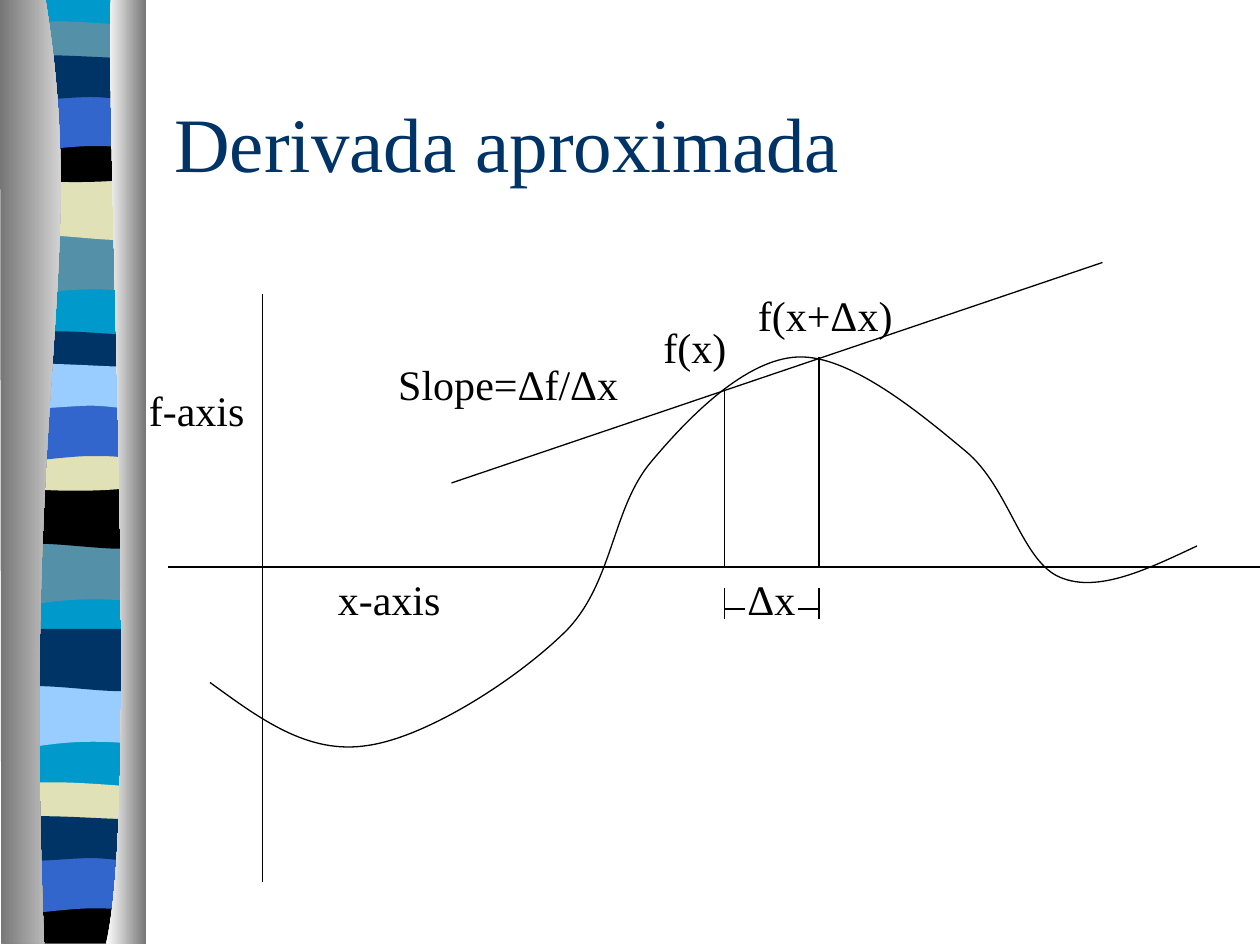
from lxml import etree
from pptx import Presentation
from pptx.dml.color import RGBColor
from pptx.enum.shapes import MSO_CONNECTOR
from pptx.enum.text import MSO_ANCHOR, MSO_AUTO_SIZE, PP_ALIGN
from pptx.oxml.ns import qn
from pptx.util import Inches, Pt

STRAIGHT = MSO_CONNECTOR.STRAIGHT
MIDDLE = MSO_ANCHOR.MIDDLE
LEFT = PP_ALIGN.LEFT
NO_FIT, GROW = MSO_AUTO_SIZE.NONE, MSO_AUTO_SIZE.SHAPE_TO_FIT_TEXT

BLACK = RGBColor(0x00, 0x00, 0x00)
WHITE = RGBColor(0xFF, 0xFF, 0xFF)
GREY = RGBColor(0x76, 0x76, 0x76)
NAVY = RGBColor(0x00, 0x33, 0x66)
BLUE = RGBColor(0x33, 0x66, 0xCC)
CYAN = RGBColor(0x00, 0x99, 0xCC)
SKY = RGBColor(0x99, 0xCC, 0xFF)
TEAL = RGBColor(0x54, 0x90, 0xA8)
SAND = RGBColor(0xE1, 0xE1, 0xB7)

COLUMNS = 120
FINE_COLUMNS = 1000

SWELL = [(114, 47), (39, 39, 24, 55, 6, 47), (6, 0)]
RIPPLE = [(114, 47), (96, 55, 39, 41, 6, 47), (6, 0)]
LENS = [(114, 24), (96, 28, 24, 28, 6, 24), (6, 0),
        (12, -5, 29, -4, 47, -4), (65, -4, 100, -1, 114, 0)]
BOWL = [(114, 32), (96, 38, 24, 38, 6, 32), (6, 0), (72, 5, 91, 0, 114, 0)]
BASE = [(114, 37), (6, 37), (6, 0), (72, 5, 91, 0, 114, 0)]
ARCH = [(114, 47), (97, 42, 90, 42, 72, 42), (54, 42, 22, 47, 6, 47), (6, 0)]
WAVE = [(114, 31), (107, 36, 90, 31, 72, 31), (54, 31, 17, 36, 6, 31),
        (6, 0), (21, -5, 79, 0, 97, 0), (115, 0, 110, 0, 114, 0)]
BACKING = [(114, 748), (6, 748), (6, 0)]

STRIPES = [
    (CYAN, BACKING, -1), (TEAL, SWELL, 185), (SAND, RIPPLE, 141),
    (TEAL, LENS, 21), (BLACK, BOWL, 108), (BLUE, ARCH, 74), (NAVY, WAVE, 46),
    (TEAL, SWELL, 431), (BLACK, RIPPLE, 386), (NAVY, LENS, 267),
    (SAND, BOWL, 353), (BLUE, ARCH, 320), (SKY, WAVE, 291),
    (SKY, SWELL, 544), (NAVY, RIPPLE, 499), (SAND, LENS, 625),
    (BLACK, BASE, 712), (BLUE, ARCH, 679), (NAVY, WAVE, 650),
]

LEFT_EDGE = [(36, -1), (71, 216, 17, 296, 35, 749), (1, 749), (0, -1)]
RIGHT_EDGE = [(88, -1), (84, 125, 111, 646, 84, 749), (116, 749), (116, 0)]

FUNCTION_CURVE = [
    (20, 65), (24.7, 68.4, 29.3, 71.9, 35, 71), (40.7, 70.2, 49.4, 64.6, 54, 60),
    (58.4, 55.4, 58.3, 48.4, 62, 44), (65.6, 39.7, 71, 34.2, 76, 34),
    (81, 33.8, 87.8, 39.5, 92, 43), (96.1, 46.4, 97.3, 53.5, 101, 55),
    (104.6, 56.5, 109.3, 54.2, 114, 52),
]

X_AXIS, Y_AXIS = 54, 25
X_START, X_END = 69, 78
LINES = [
    (16, X_AXIS, COLUMNS, X_AXIS), (Y_AXIS, 28, Y_AXIS, 84),
    (43, 46, 105, 25),
    (X_START, 37, X_START, X_AXIS), (X_END, 34, X_END, X_AXIS),
    (X_END - 2, 58, X_END, 58), (X_START, 58, X_START + 2, 58),
    (X_START, 56, X_START, 59), (X_END, 56, X_END, 59),
]
LABELS = [
    ("f-axis", 13, 36, 11.6), ("x-axis", 31, 54, 12.3), ("Δx", 70, 54, 7.1),
    ("f(x)", 62, 30, 8.5), ("f(x+Δx)", 71, 27, 15.3),
    ("Slope=Δf/Δx", 36.75, 33.6, 23.5),
]


class Board:
    font = "Times New Roman"
    title_size = Pt(44)
    label_size = Pt(24)
    line_width = Pt(0.75)

    def __init__(self, prs):
        self.s = prs.slides.add_slide(prs.slide_layouts[5])
        self.cell = prs.slide_width / COLUMNS
        self.fine = prs.slide_width / FINE_COLUMNS

    def place(self, *lengths):
        return [round(v * self.cell) for v in lengths]

    def style(self, p, size, color):
        p.alignment = LEFT
        p.font.name = self.font
        p.font.size = size
        p.font.color.rgb = color

    def title(self, text, x, y, w, h):
        sp = self.s.shapes.title
        sp.left, sp.top, sp.width, sp.height = self.place(x, y, w, h)
        tf = sp.text_frame
        tf.text = text
        tf.vertical_anchor = MIDDLE
        tf.auto_size = NO_FIT
        self.style(tf.paragraphs[0], self.title_size, NAVY)

    def label(self, text, x, y, w):
        tf = self.s.shapes.add_textbox(*self.place(x, y, w, 6)).text_frame
        tf.text = text
        tf.word_wrap = False
        tf.auto_size = GROW
        self.style(tf.paragraphs[0], self.label_size, BLACK)

    def outline(self, steps, unit, close):
        points = [(round(step[i] * unit), round(step[i + 1] * unit))
                  for step in steps for i in range(0, len(step), 2)]
        builder = self.s.shapes.build_freeform(*points[0])
        builder.add_line_segments(points[1:], close=close)
        sp = builder.convert_to_shape()
        sp.shadow.inherit = False
        self.bend(sp, steps)
        return sp

    def bend(self, sp, steps):
        outline = next(sp._element.iter(qn("a:path")))
        segments = iter(outline.findall(qn("a:lnTo")))
        for step in steps[1:]:
            segment = next(segments)
            if len(step) == 6:
                curve = etree.Element(qn("a:cubicBezTo"))
                segment.addprevious(curve)
                for part in (segment, next(segments), next(segments)):
                    curve.append(part[0])
                    outline.remove(part)

    def stripe(self, color, profile, top):
        moved = [tuple(v + top * (i % 2) for i, v in enumerate(step))
                 for step in [(114, 0)] + profile]
        sp = self.outline(moved, self.fine, True)
        sp.fill.solid()
        sp.fill.fore_color.rgb = color
        sp.line.fill.background()

    def edge(self, steps, *colors):
        sp = self.outline(steps, self.fine, True)
        sp.fill.gradient()
        sp.fill.gradient_angle = 0
        for stop, color in zip(sp.fill.gradient_stops, colors):
            stop.color.rgb = color
        sp.line.fill.background()

    def curve(self, steps):
        sp = self.outline(steps, self.cell, False)
        sp.fill.background()
        self.stroke(sp)

    def line(self, *ends):
        sp = self.s.shapes.add_connector(STRAIGHT, *self.place(*ends))
        self.stroke(sp)
        etree.SubElement(sp._element.spPr, qn("a:effectLst"))

    def stroke(self, sp):
        sp.line.color.rgb = BLACK
        sp.line.width = self.line_width


def main():
    prs = Presentation()
    prs.slide_width, prs.slide_height = Inches(10), Inches(7.5)
    board = Board(prs)
    for stripe in STRIPES:
        board.stripe(*stripe)
    board.edge(LEFT_EDGE, GREY, WHITE)
    board.edge(RIGHT_EDGE, WHITE, GREY)
    board.title("Derivada aproximada", 15.4, 6, 102, 15)
    board.curve(FUNCTION_CURVE)
    for line in LINES:
        board.line(*line)
    for label in LABELS:
        board.label(*label)
    prs.save("out.pptx")


if __name__ == "__main__":
    main()
